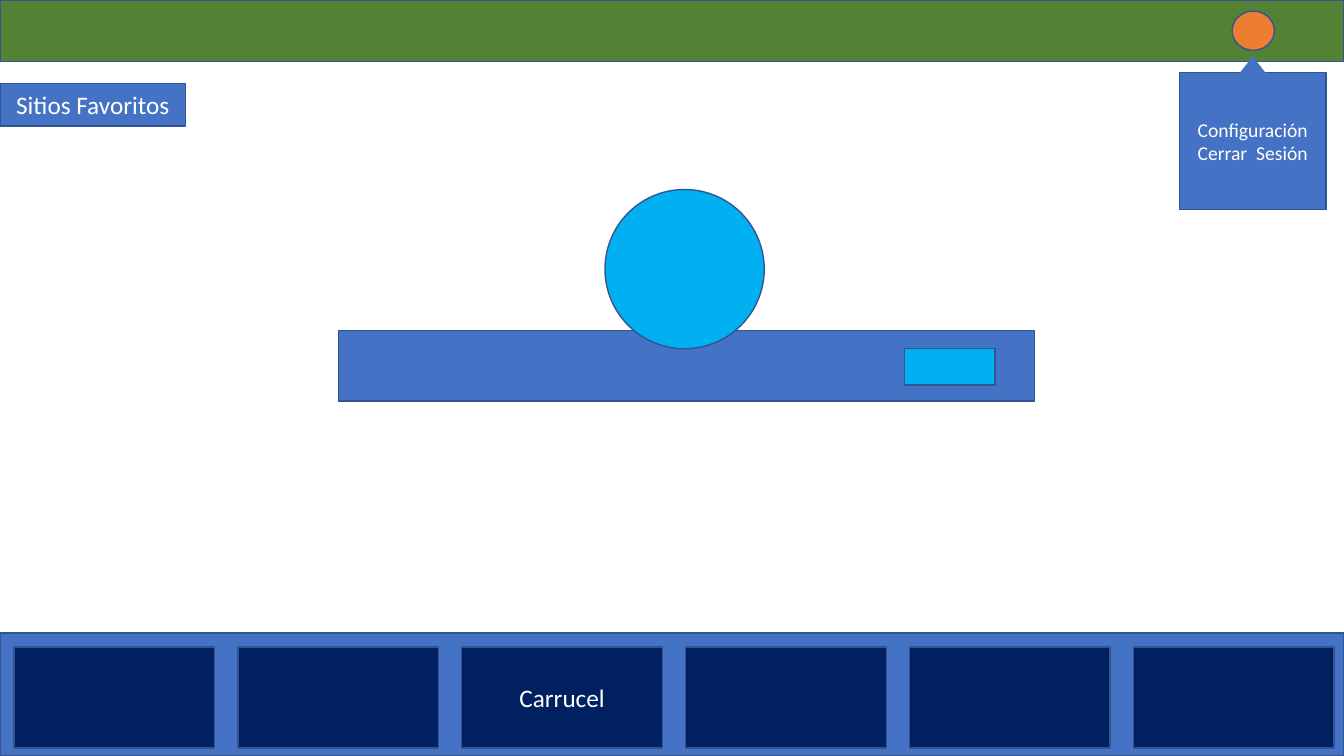
from dataclasses import dataclass

import pptx
import pptx.dml.color
import pptx.enum.shapes
import pptx.enum.text
import pptx.slide
import pptx.util
from pptx.util import Inches

COLORS = {
    "header": "548235",
    "avatar": "ED7D31",
    "panel": "4472C4",
    "accent": "00B0F0",
    "card": "002060",
    "outline": "325491",
    "text": "FFFFFF",
}
FONT = "Calibri"
RECTANGLE = pptx.enum.shapes.MSO_SHAPE.RECTANGLE
OVAL = pptx.enum.shapes.MSO_SHAPE.OVAL
TRIANGLE = pptx.enum.shapes.MSO_SHAPE.ISOSCELES_TRIANGLE

SLIDE_WIDTH, SLIDE_HEIGHT = 13.33, 7.5
CARD_COUNT, CARD_LEFT, CARD_PITCH = 6, 0.14, 2.22
CARD_LABELS = {2: ("Carrucel",)}


@dataclass(frozen=True)
class Block:
    """A filled preset shape, measured in inches, with optional text lines."""

    left: float
    top: float
    width: float
    height: float
    color: str
    preset: pptx.enum.shapes.MSO_SHAPE = RECTANGLE
    lines: tuple[str, ...] = ()
    size: int = 18
    outlined: bool = True


def rgb(name: str) -> pptx.dml.color.RGBColor:
    """Return a named palette colour."""
    return pptx.dml.color.RGBColor.from_string(COLORS[name])


def draw_block(slide: pptx.slide.Slide, block: Block) -> None:
    """Draw one block and its centred text."""
    shape = slide.shapes.add_shape(
        block.preset, Inches(block.left), Inches(block.top),
        Inches(block.width), Inches(block.height),
    )
    shape.shadow.inherit = False
    shape.fill.solid()
    shape.fill.fore_color.rgb = rgb(block.color)
    if block.outlined:
        shape.line.color.rgb = rgb("outline")
        shape.line.width = pptx.util.Pt(1)
    else:
        shape.line.fill.background()

    frame = shape.text_frame
    frame.word_wrap = True
    frame.vertical_anchor = pptx.enum.text.MSO_ANCHOR.MIDDLE
    for index, line in enumerate(block.lines):
        paragraph = frame.add_paragraph() if index else frame.paragraphs[0]
        paragraph.alignment = pptx.enum.text.PP_ALIGN.CENTER
        run = paragraph.add_run()
        run.text = line
        run.font.name = FONT
        run.font.size = pptx.util.Pt(block.size)
        run.font.color.rgb = rgb("text")


def carousel_cards() -> list[Block]:
    """Lay out the carousel cards at an equal pitch."""
    return [
        Block(CARD_LEFT + index * CARD_PITCH, 6.42, 1.99, 1, "card",
              lines=CARD_LABELS.get(index, ()))
        for index in range(CARD_COUNT)
    ]


def main() -> None:
    """Build and save the presentation."""
    presentation = pptx.Presentation()
    presentation.slide_width = Inches(SLIDE_WIDTH)
    presentation.slide_height = Inches(SLIDE_HEIGHT)
    slide = presentation.slides.add_slide(presentation.slide_layouts[6])

    header = Block(0, 0, SLIDE_WIDTH, 0.61, "header")
    avatar = Block(12.22, 0.11, 0.42, 0.39, "avatar", OVAL)
    user_menu = Block(11.7, 0.72, 1.45, 1.36, "panel", size=14,
                      lines=("Configuración", "Cerrar  Sesión"))
    menu_pointer = Block(12.26, 0.56, 0.33, 0.21, "panel", TRIANGLE, outlined=False)
    search_bar = Block(3.36, 3.28, 6.9, 0.7, "panel")
    central_circle = Block(6, 1.88, 1.58, 1.58, "accent", OVAL)
    search_button = Block(8.97, 3.46, 0.9, 0.36, "accent")
    favorites = Block(0, 0.83, 1.84, 0.42, "panel", lines=("Sitios Favoritos",))
    carousel = Block(0, 6.28, SLIDE_WIDTH, 1.22, "panel")

    for block in (header, avatar, user_menu, menu_pointer, search_bar,
                  central_circle, search_button, favorites, carousel,
                  *carousel_cards()):
        draw_block(slide, block)

    presentation.save("out.pptx")


main()
